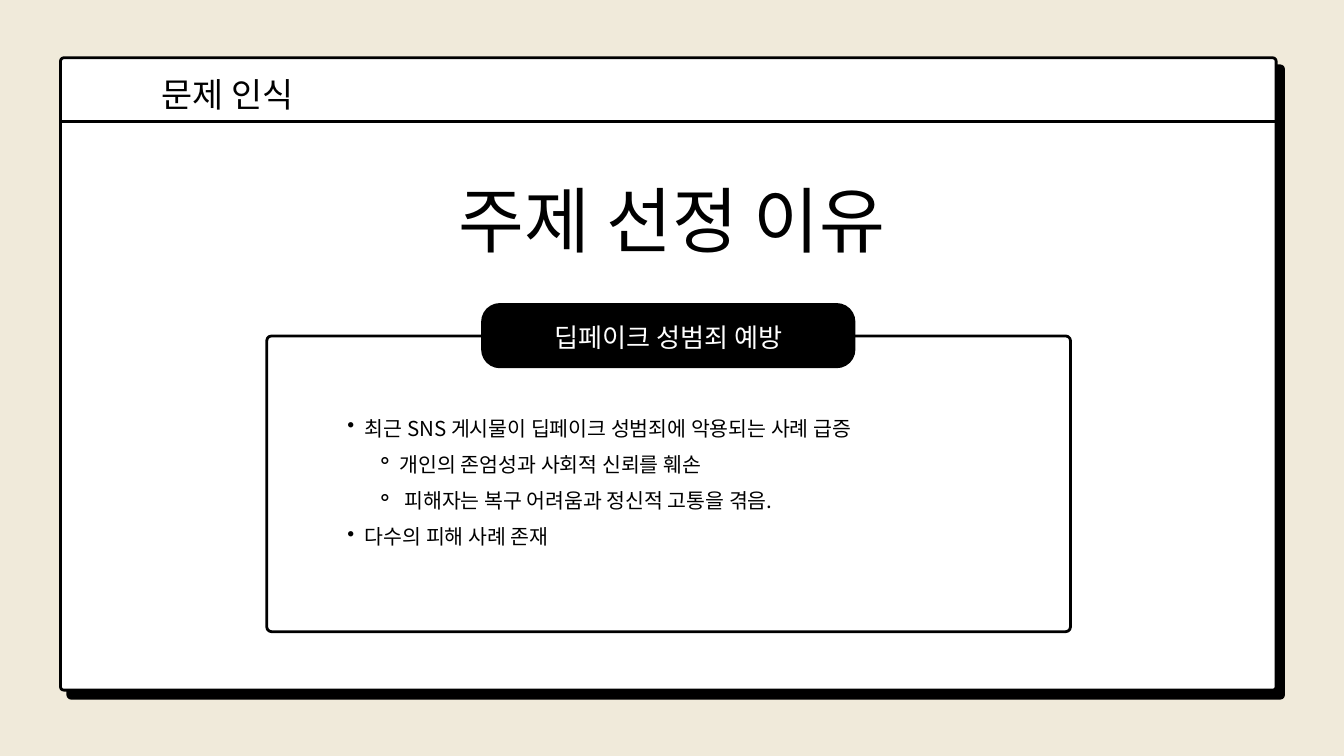
from lxml import etree
from pptx import Presentation
from pptx import util as u
from pptx.dml.color import RGBColor
from pptx.enum import shapes, text
from pptx.oxml import ns

PX = 9144  # 100 px to the inch
CREAM = RGBColor(0xF0, 0xEA, 0xDA)
BLACK = RGBColor(0, 0, 0)
WHITE = RGBColor(255, 255, 255)
FONT = "Noto Sans CJK KR"
LEFT, MID, JUST = text.PP_ALIGN.LEFT, text.PP_ALIGN.CENTER, text.PP_ALIGN.JUSTIFY


def panel(left, top, width, height, radius, fill, line):
    """Add a rounded box; a line of 0 points means no outline."""
    box = slide.shapes.add_shape(
        shapes.MSO_SHAPE.ROUNDED_RECTANGLE,
        left * PX, top * PX, width * PX, height * PX)
    box.adjustments[0] = radius / height
    box.shadow.inherit = False
    box.fill.solid()
    box.fill.fore_color.rgb = fill
    if line:
        box.line.color.rgb = BLACK
        box.line.width = u.Pt(line)
    else:
        box.line.fill.background()


def write(shape, lines, size, pitch, color, align):
    """Fill a shape with (text, level) lines; levels above 0 get a bullet."""
    frame = shape.text_frame
    frame.margin_left = frame.margin_right = 0
    frame.margin_top = frame.margin_bottom = 0
    frame.word_wrap = True
    frame.auto_size = text.MSO_AUTO_SIZE.NONE
    frame.vertical_anchor = text.MSO_ANCHOR.TOP
    frame.text = "\n".join(line for line, level in lines)
    for par, (line, level) in zip(frame.paragraphs, lines):
        par.alignment = align
        par.line_spacing = u.Pt(pitch)
        if level:
            par.level = level
            mark, left, hang = BULLETS[level]
            props = par._p.get_or_add_pPr()
            props.set("marL", str(left * PX))
            props.set("indent", str(-hang * PX))
            etree.SubElement(props, ns.qn("a:buChar"), char=mark)
        par.font.size = u.Pt(size)
        par.font.color.rgb = color
        par.font.name = FONT
        etree.SubElement(par.font._element, ns.qn("a:ea"), typeface=FONT)


BULLETS = {1: ("•", 52, 26), 2: ("⚬", 104, 35)}  # mark, left, hang

deck = Presentation()
deck.slide_width, deck.slide_height = 2000 * PX, 1125 * PX
slide = deck.slides.add_slide(deck.slide_layouts[5])
slide.background.fill.solid()
slide.background.fill.fore_color.rgb = CREAM

# Window with its hard shadow and header rule
panel(101, 98, 1809, 941, 5, BLACK, 3)
panel(90, 86, 1809, 941, 5, WHITE, 3)
rule = slide.shapes.add_connector(
    shapes.MSO_CONNECTOR.STRAIGHT, 90 * PX, 181 * PX, 1899 * PX, 181 * PX)
rule.line.color.rgb = BLACK
rule.line.width = u.Pt(4)
etree.SubElement(rule._element.spPr, ns.qn("a:effectLst"))

# Content box and its label
panel(397, 500, 1196, 440, 7, WHITE, 3)
panel(716, 451, 557, 97, 28, BLACK, 0)

POINTS = [
    ("최근 SNS 게시물이 딥페이크 성범죄에 악용되는 사례 급증", 1),
    ("개인의 존엄성과 사회적 신뢰를 훼손", 2),
    (" 피해자는 복구 어려움과 정신적 고통을 겪음.", 2),
    ("다수의 피해 사례 존재", 1),
]
TEXTS = [  # place, lines, size, pitch, colour, alignment
    ((240, 100, 755, 66), [("문제 인식", 0)], 36.2, 50.6, BLACK, LEFT),
    ((719, 465, 552, 58), [("딥페이크 성범죄 예방", 0)], 28, 42.8, WHITE, MID),
    ((491, 601, 1018, 268), POINTS, 22, 38.9, BLACK, JUST),
]
for place, *style in TEXTS:
    write(slide.shapes.add_textbox(*(n * PX for n in place)), *style)

# Title, brought in front of the window
title = slide.shapes.title
title.left, title.top, title.width, title.height = (
    n * PX for n in (609, 241, 782, 144))
write(title, [("주제 선정 이유", 0)], 76.7, 107.4, BLACK, MID)
title.element.getparent().append(title.element)

deck.save("out.pptx")
